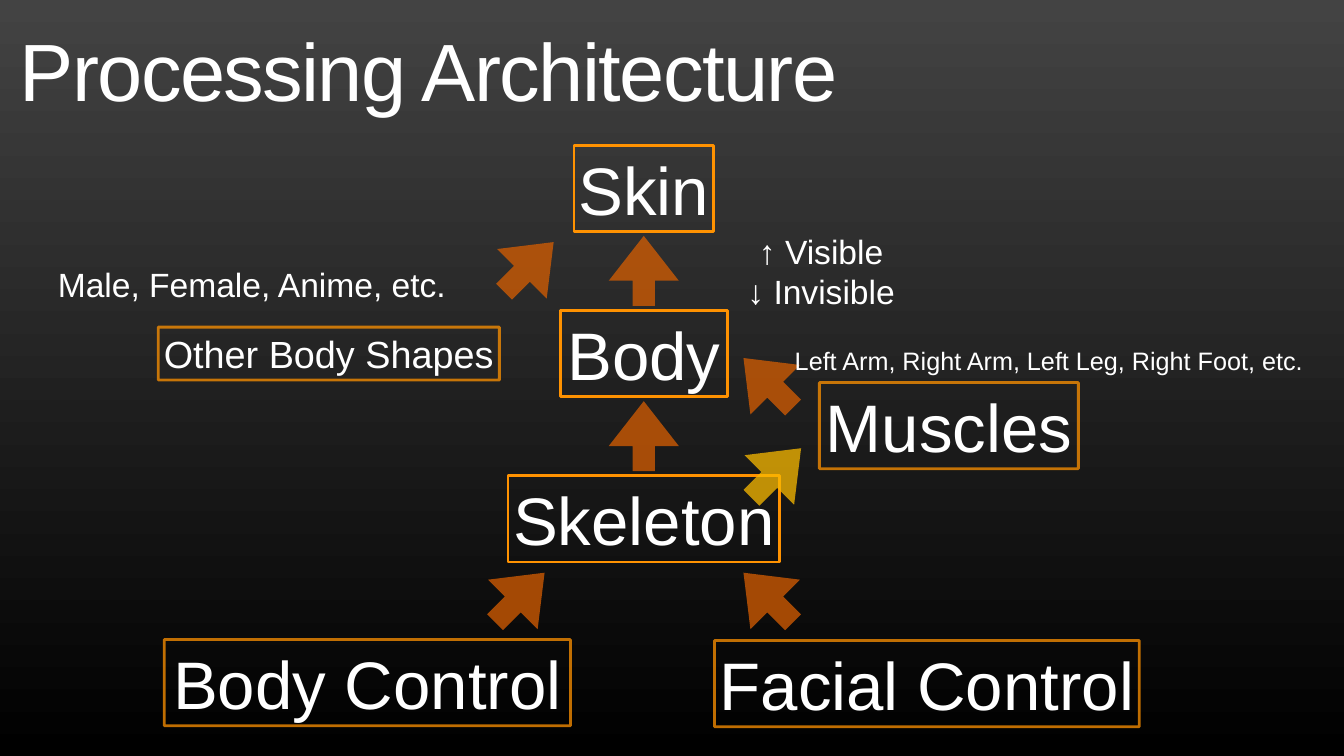
import dataclasses

import pptx
import pptx.dml.color
import pptx.enum.shapes
import pptx.enum.text
import pptx.oxml
import pptx.oxml.ns
import pptx.util

SCALE = 9144  # EMU in one px, 100 px to the inch
PAGE_WIDTH, PAGE_HEIGHT = 2667, 1500
ARROW_SIZE = 139
UP, UP_RIGHT, UP_LEFT = 270, 315, 225


@dataclasses.dataclass(frozen=True)
class Theme:
    font: str = "Arial"
    text: str = "FFFFFF"
    outline: str = "FF9201"
    arrow: str = "D75E02"
    highlight: str = "F9B900"
    background: tuple = ("434343", "000000")
    title_size: int = 116
    stage_size: int = 96
    shape_size: int = 54
    note_size: int = 48
    small_size: int = 36
    line_width: int = 4
    inset: int = 6
    opacity: int = 75


THEME = Theme()

# Label, left, top, width, height, type size, opacity of the outline
STAGES = [
    ("Skin", 1139, 288, 277, 171, THEME.stage_size, 100),
    ("Body", 1112, 616, 332, 171, THEME.stage_size, 100),
    ("Other Body Shapes", 314, 649, 677, 105, THEME.shape_size, THEME.opacity),
    ("Muscles", 1626, 759, 514, 171, THEME.stage_size, THEME.opacity),
    ("Skeleton", 1008, 944, 539, 171, THEME.stage_size, 100),
    ("Body Control", 326, 1269, 806, 171, THEME.stage_size, THEME.opacity),
    ("Facial Control", 1418, 1271, 843, 171, THEME.stage_size, THEME.opacity),
]
# Left, top, direction, colour
ARROWS = [
    (1208, 468, UP, THEME.arrow),
    (1208, 796, UP, THEME.arrow),
    (980, 460, UP_RIGHT, THEME.arrow),
    (1455, 690, UP_LEFT, THEME.arrow),
    (962, 1116, UP_RIGHT, THEME.arrow),
    (1455, 1116, UP_LEFT, THEME.arrow),
    (1471, 869, UP_RIGHT, THEME.highlight),
]
# Lines, left, top, width, height, type size
NOTES = [
    (["Male, Female, Anime, etc."], 108, 520, 784, 88, THEME.note_size),
    (["Left Arm, Right Arm, Left Leg, Right Foot, etc."],
     1563, 681, 1037, 69, THEME.small_size),
    (["↑ Visible", "↓ Invisible"], 1472, 453, 315, 169, THEME.note_size),
]


def px(*lengths):
    return [pptx.util.Emu(length * SCALE) for length in lengths]


def rgb(colour):
    return pptx.dml.color.RGBColor.from_string(colour)


def set_opacity(fill_format, element, percent):
    """Make the solid colour inside element partly transparent."""
    fill_format.solid()
    colour = element.find(".//" + pptx.oxml.ns.qn("a:srgbClr"))
    namespace = pptx.oxml.ns.nsdecls("a")
    colour.append(pptx.oxml.parse_xml(
        f'<a:alpha {namespace} val="{percent * 1000}"/>'))


def write_text(box, lines, size, centred=True):
    """Fill the box with one paragraph and return its runs."""
    frame = box.text_frame
    frame.word_wrap = not centred
    sizing = pptx.enum.text.MSO_AUTO_SIZE
    frame.auto_size = sizing.SHAPE_TO_FIT_TEXT if centred else sizing.NONE
    frame.vertical_anchor = pptx.enum.text.MSO_ANCHOR.MIDDLE
    frame.margin_left, frame.margin_top = px(THEME.inset, THEME.inset)
    frame.margin_right, frame.margin_bottom = px(THEME.inset, THEME.inset)
    para = frame.paragraphs[0]
    alignment = pptx.enum.text.PP_ALIGN
    para.alignment = alignment.CENTER if centred else alignment.LEFT
    spans = []
    for number, line in enumerate(lines):
        if number:
            para.add_line_break()
        span = para.add_run()
        span.text = line
        span.font.name = THEME.font
        span.font.size = pptx.util.Pt(size)
        span.font.color.rgb = rgb(THEME.text)
        spans.append(span)
    return spans


def paint_background(page):
    fill = page.background.fill
    fill.gradient()
    fill.gradient_angle = 270
    for stop, colour, position in zip(
            fill.gradient_stops, THEME.background, (0, 1)):
        stop.color.rgb = rgb(colour)
        stop.position = position


def place_title(page, text, left, top, width, height):
    title = page.shapes.title
    title.left, title.top, title.width, title.height = px(
        left, top, width, height)
    for span in write_text(title, [text], THEME.title_size, centred=False):
        span._r.get_or_add_rPr().set("spc", "-230")
    title.text_frame.paragraphs[0].line_spacing = 0.8


def add_stage(page, label, left, top, width, height, size, opacity):
    box = page.shapes.add_shape(
        pptx.enum.shapes.MSO_SHAPE.RECTANGLE, *px(left, top, width, height))
    box.shadow.inherit = False
    box.fill.background()
    box.line.width = pptx.util.Pt(THEME.line_width)
    box.line.color.rgb = rgb(THEME.outline)
    if opacity < 100:
        set_opacity(box.line.fill, box.line._ln, opacity)
    write_text(box, [label], size)


def add_arrow(page, left, top, direction, colour):
    arrow = page.shapes.add_shape(
        pptx.enum.shapes.MSO_SHAPE.RIGHT_ARROW,
        *px(left, top, ARROW_SIZE, ARROW_SIZE))
    arrow.shadow.inherit = False
    arrow.rotation = direction
    arrow.adjustments[0], arrow.adjustments[1] = 0.32, 0.64
    arrow.line.fill.background()
    arrow.fill.solid()
    arrow.fill.fore_color.rgb = rgb(colour)
    set_opacity(arrow.fill, arrow._element.spPr, THEME.opacity)


def add_note(page, lines, left, top, width, height, size):
    box = page.shapes.add_textbox(*px(left, top, width, height))
    write_text(box, lines, size)


def main():
    deck = pptx.Presentation()
    deck.slide_width, deck.slide_height = px(PAGE_WIDTH, PAGE_HEIGHT)
    page = deck.slides.add_slide(deck.slide_layouts[5])
    paint_background(page)
    place_title(page, "Processing Architecture", 33, 42, 1809, 225)
    for stage in STAGES:
        add_stage(page, *stage)
    for arrow in ARROWS:
        add_arrow(page, *arrow)
    for note in NOTES:
        add_note(page, *note)
    deck.save("out.pptx")


if __name__ == "__main__":
    main()
